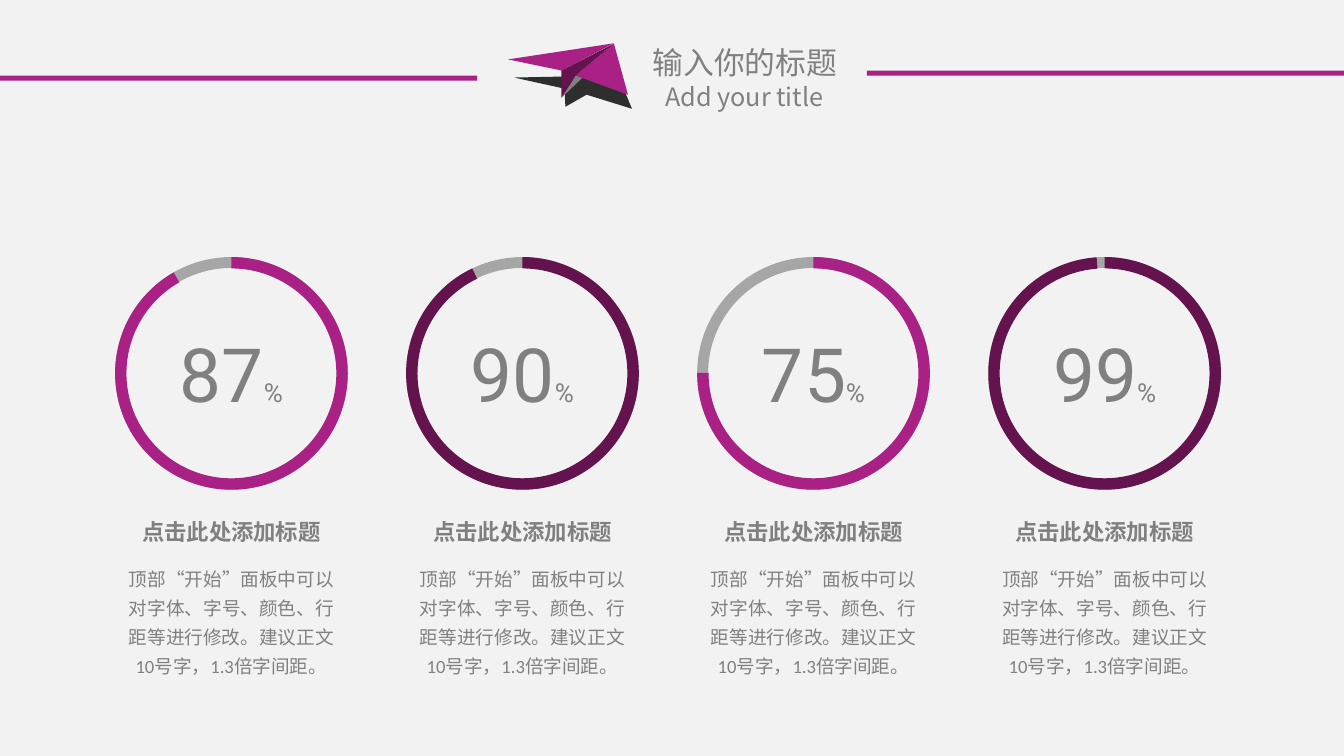
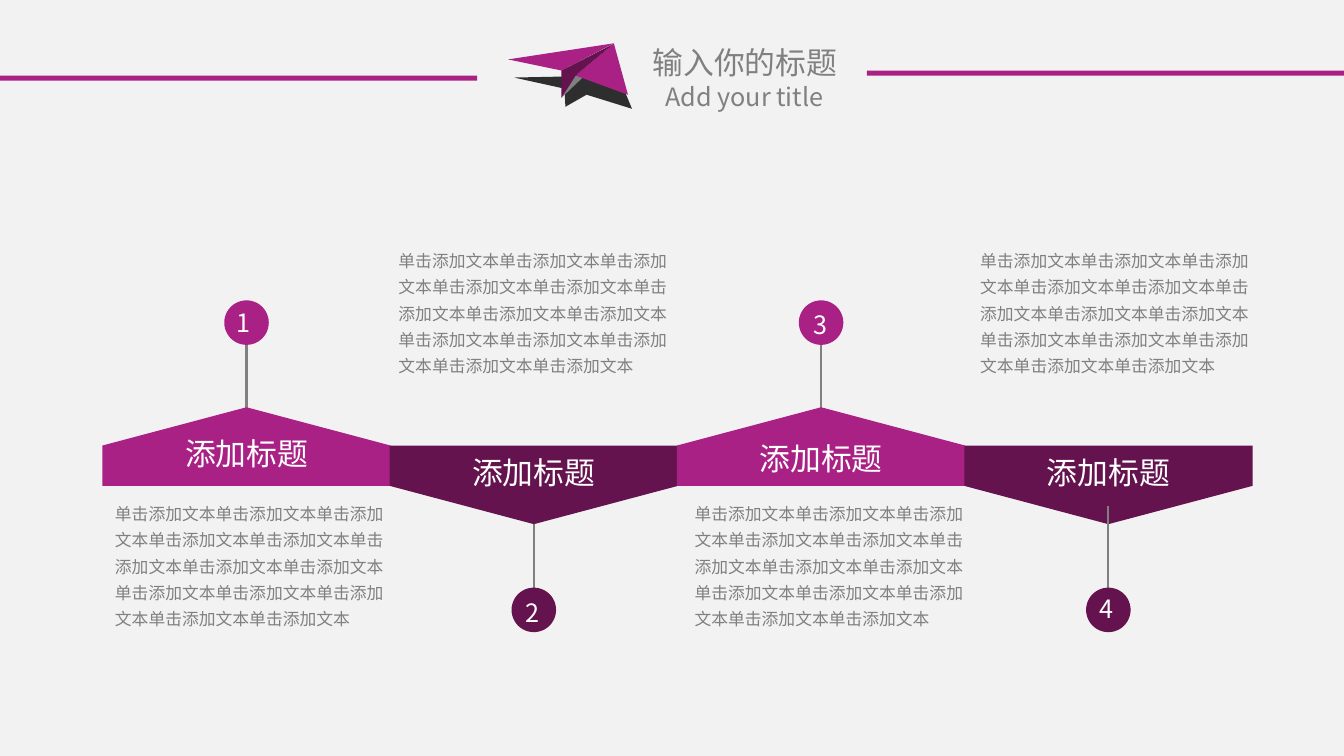
"""Build two paper-plane slides on a grid of 160 columns by 90 rows."""
from lxml.etree import SubElement
from pptx import Presentation
from pptx.dml.color import RGBColor as Rgb
from pptx.enum.shapes import MSO_CONNECTOR as Link, MSO_SHAPE as Kind
from pptx.enum.text import MSO_AUTO_SIZE as Fit, PP_ALIGN as Align
from pptx.oxml.ns import qn
from pptx.util import Inches, Pt

PINK = Rgb(0xAA, 0x21, 0x85)
PLUM = Rgb(0x64, 0x13, 0x4E)
GREY = Rgb(0x80, 0x80, 0x80)
PALE = Rgb(0xA6, 0xA6, 0xA6)
DARK = Rgb(0x2E, 0x2E, 0x2E)
BACK = Rgb(0xF2, 0xF2, 0xF2)
WHITE = Rgb(0xFF, 0xFF, 0xFF)
SANS = "Noto Sans CJK SC"
COLS, ROWS = 160, 90
WIDE = (1.56, 0.84)
SLIM = (0.84, 0.48)

PLANE = (
    (DARK, ((67.92, 8.52), (74.4, 10.92), (75.24, 12.96), (69.84, 11.28),
            (67.32, 12.72), (67.2, 10.56), (61.2, 9.24), (66.96, 9.12))),
    (GREY, ((68.52, 9), (69.36, 9.24), (66.84, 11.64))),
    (PINK, ((68.52, 9), (73.08, 5.16), (74.76, 11.28))),
    (PINK, ((66.84, 8.4), (73.08, 5.16), (60.48, 7.08))),
    (PLUM, ((66.84, 8.4), (72.48, 5.52), (72.96, 5.28), (68.52, 9),
            (66.84, 11.64))),
)
RINGS = (("87", 29.76, PINK), ("90", 25.58, PLUM),
         ("75", 89.75, PINK), ("99", 3.91, PLUM))
HEAD = "点击此处添加标题"
NOTE = "顶部“开始”面板中可以对字体、字号、颜色、行距等进行修改。建议正文10号字，1.3倍字间距。"
STEPS = (
    {"up": True, "head": 51.6, "left": 16.5, "dot": (0.2, 0.2)},
    {"up": False, "head": 53.9, "left": 16.95, "dot": (0.5, 0.5)},
    {"up": True, "head": 52.3, "left": 15.9, "dot": (0.6, 0.5)},
    {"up": False, "head": 53.9, "left": 16.1, "dot": (0.4, 0.1)},
)
BODY = "单击添加文本" * 13


def unit(num):
    return Inches(num / 12)


def paint(shape, color):
    shape.shadow.inherit = False
    shape.fill.solid()
    shape.fill.fore_color.rgb = color
    shape.line.fill.background()


def block(slide, kind, box, color, turn=0, adj=()):
    shape = slide.shapes.add_shape(kind, *map(unit, box))
    paint(shape, color)
    shape.rotation = turn
    for i, num in enumerate(adj):
        shape.adjustments[i] = num


def facet(slide, dots, color):
    first, *rest = [tuple(map(unit, dot)) for dot in dots]
    pen = slide.shapes.build_freeform(*first, scale=1.0)
    pen.add_line_segments(rest, close=True)
    paint(pen.convert_to_shape(), color)


def stem(slide, x, top, end):
    line = slide.shapes.add_connector(Link.STRAIGHT, *map(unit, (x, top, x, end)))
    line.line.color.rgb = GREY
    line.line.width = Pt(1.5)
    SubElement(line._element.spPr, qn("a:effectLst"))


def write(slide, text, box, size, color=GREY, font=SANS, bold=False, align=Align.CENTER,
          pad=(1.2, 0.6), gap=None, wrap=True, tail="", small=0):
    frame = slide.shapes.add_textbox(*map(unit, box)).text_frame
    frame.word_wrap = wrap
    frame.auto_size = Fit.SHAPE_TO_FIT_TEXT
    frame.margin_left = frame.margin_right = unit(pad[0])
    frame.margin_top = frame.margin_bottom = unit(pad[1])
    para = frame.paragraphs[0]
    para.alignment = align
    if gap:
        para.line_spacing = gap
    for part, points in ((text, size), (tail, small)):
        if part:
            run = para.add_run()
            run.text = part
            run.font.size = Pt(points)
            run.font.bold = bold
            run.font.color.rgb = color
            run.font.name = font
            SubElement(run.font._element, qn("a:ea"), typeface=SANS)


def start(deck):
    slide = deck.slides.add_slide(deck.slide_layouts[6])
    slide.background.fill.solid()
    slide.background.fill.fore_color.rgb = BACK
    write(slide, "输入你的标题", (70.2, 4.56, 36.96, 5.64), 22)
    write(slide, "Add your title", (72.6, 9.12, 32.04, 4.8), 18)
    bar = 56.8
    for x, y in ((0, 9), (COLS - bar, 8.4)):
        block(slide, Kind.RECTANGLE, (x, y, bar, 0.6), PINK)
    for color, dots in PLANE:
        facet(slide, dots, color)
    return slide


def ring(slide, x, num, gap, color):
    side = 27.7
    box = (x, 30.6, side, side)
    block(slide, Kind.DONUT, box, PALE, adj=(0.047,))
    arc = [deg * 0.6 for deg in (270, 270 - gap)]
    block(slide, Kind.BLOCK_ARC, box, color, adj=(*arc, 0.049))
    write(slide, num, (x + 6, 38.16, 15.7, 12.36), 53.4, font="Roboto",
          pad=WIDE, tail="%", small=18.6)
    write(slide, HEAD, (x, 60.84, side, 4.8), 16, font="Arial", bold=True, pad=WIDE)
    write(slide, NOTE, (x, 66, side, 15.6), 13.3, font="Calibri", pad=WIDE, gap=1.3)


def pin(slide, mid, num, step, color):
    side = 5.3
    x = mid - side / 2
    y, top, end = (35.76, 40.3, 50.76) if step["up"] else (69.96, 60.24, 70.6)
    stem(slide, mid, top, end)
    block(slide, Kind.OVAL, (x, y, side, side), color)
    dx, dy = step["dot"]
    write(slide, num, (x + dx, y + dy, 4.2, 4.8), 18, color=WHITE,
          align=Align.LEFT, wrap=False)


def plate(slide, mid, step, color):
    wide, tall = 34.32, 9.36
    y, turn = (53.16, 270) if step["up"] else (57.72, 90)
    box = (mid - tall / 2, y - wide / 2, tall, wide)
    block(slide, Kind.PENTAGON, box, color, turn, (0.487,))
    write(slide, "添加标题", (mid - 14.4, step["head"], 28.8, 5.16), 22,
          color=WHITE, gap=0.9)
    write(slide, BODY, (mid - step["left"], 58.8 if step["up"] else 28.68, 34.08, 16.68),
          12, align=Align.LEFT, pad=SLIM, gap=1.3)


def main():
    deck = Presentation()
    deck.slide_width, deck.slide_height = unit(COLS), unit(ROWS)
    slide = start(deck)
    for i, data in enumerate(RINGS):
        ring(slide, 13.7 + 34.65 * i, *data)
    slide = start(deck)
    for i, step in enumerate(STEPS):
        mid = 29.35 + 34.2 * i
        color = PINK if step["up"] else PLUM
        last = i == len(STEPS) - 1
        if last:
            plate(slide, mid, step, color)
        pin(slide, mid, str(i + 1), step, color)
        if not last:
            plate(slide, mid, step, color)
    deck.save("out.pptx")


if __name__ == "__main__":
    main()
